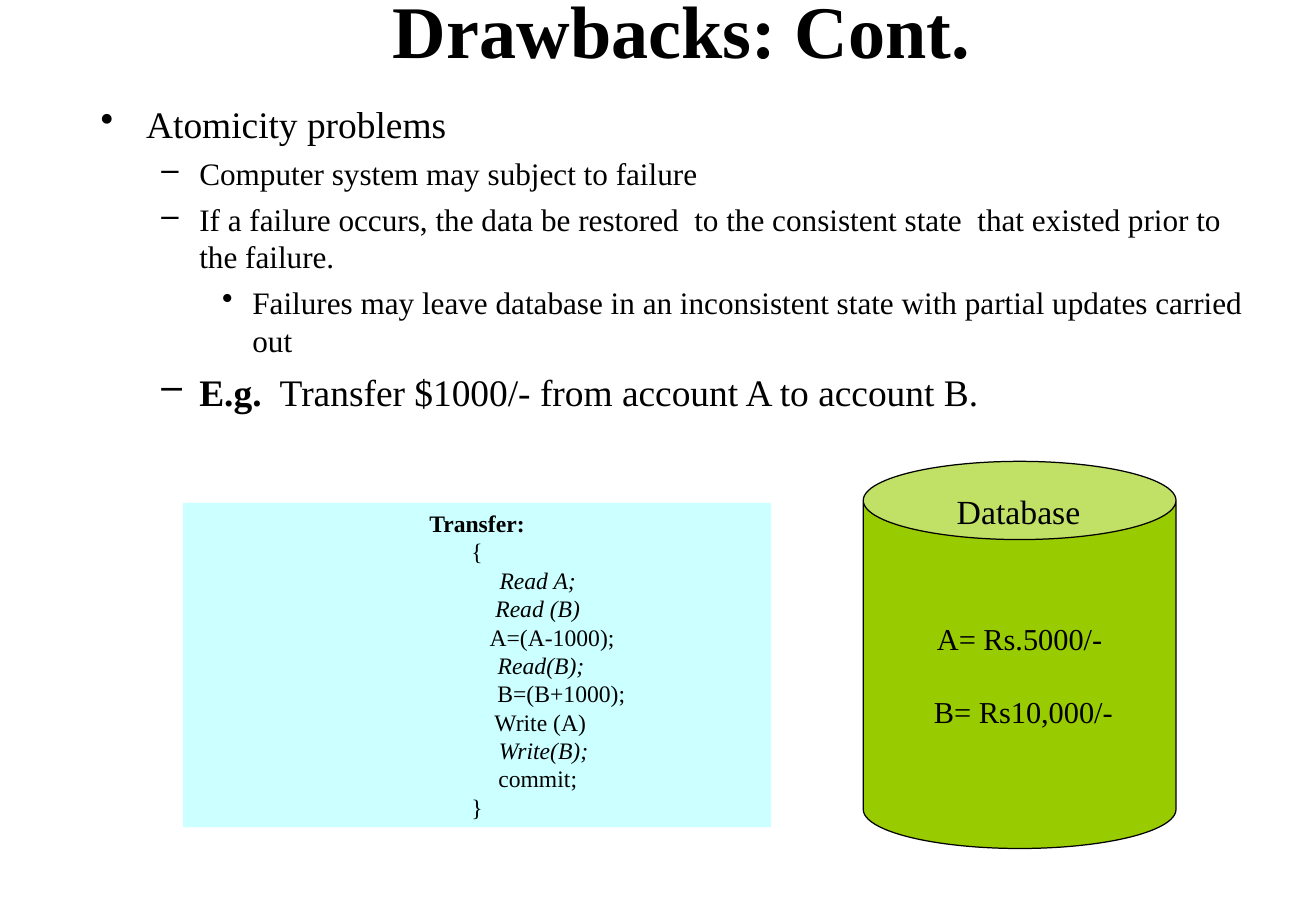
import pptx
import pptx.util
import pptx.dml.color
import pptx.enum.shapes
import pptx.enum.text
import pptx.oxml
import pptx.oxml.ns
from dataclasses import dataclass

Pt = pptx.util.Pt
RGB = pptx.dml.color.RGBColor.from_string
Shape = pptx.enum.shapes.MSO_SHAPE
Align = pptx.enum.text.PP_ALIGN
Anchor = pptx.enum.text.MSO_ANCHOR


@dataclass
class Theme:
    font: str = "Times New Roman"
    ink: str = "000000"
    code: str = "CCFFFF"
    store: str = "99CC00"
    title: float = 44
    lead: float = 22.2
    point: float = 18.5
    label: float = 20
    value: float = 18
    small: float = 14


# Left margin, hanging indent and bullet for each outline level
LEVELS = [(27, 27, "•"), (58.5, 22.5, "–"), (90, 18, "•")]


class Page:
    def __init__(self, slide, theme):
        self.slide = slide
        self.theme = theme

    def frame(self, shape, anchor=Anchor.MIDDLE, wrap=True):
        frame = shape.text_frame
        frame.word_wrap = wrap
        frame.vertical_anchor = anchor
        frame.margin_left = frame.margin_right = Pt(7.2)
        frame.margin_top = frame.margin_bottom = Pt(3.6)
        return frame

    def box(self, left, top, width, height, **style):
        shape = self.slide.shapes.add_textbox(Pt(left), Pt(top), Pt(width), Pt(height))
        return self.frame(shape, **style)

    def block(self, kind, left, top, width, height, fill, line=None):
        shape = self.slide.shapes.add_shape(kind, Pt(left), Pt(top), Pt(width), Pt(height))
        shape.shadow.inherit = False
        shape.fill.solid()
        shape.fill.fore_color.rgb = RGB(fill)
        if line:
            shape.line.color.rgb = RGB(line)
            shape.line.width = Pt(0.75)
        else:
            shape.line.fill.background()
        return shape

    def para(self, frame, runs, size, gap=0, shift=0, align=Align.CENTER):
        """Add one paragraph; runs are (text, style) pairs, style holding b or i."""
        first = not frame.paragraphs[0].runs
        para = frame.paragraphs[0] if first else frame.add_paragraph()
        para.alignment = align
        para.space_before = Pt(0 if first else gap)
        if shift:
            para._p.get_or_add_pPr().set("marL", str(Pt(shift)))
        for text, style in runs:
            run = para.add_run()
            run.text = text
            run.font.name = self.theme.font
            run.font.size = Pt(size)
            run.font.bold = "b" in style
            run.font.italic = "i" in style
            run.font.color.rgb = RGB(self.theme.ink)
        return para

    def item(self, frame, level, runs, size, gap):
        left, hang, mark = LEVELS[level]
        para = self.para(frame, runs, size, gap, left, Align.LEFT)
        para.level = level
        props = para._p.get_or_add_pPr()
        props.set("indent", str(-Pt(hang)))
        bullet = pptx.oxml.parse_xml(
            f'<a:buChar {pptx.oxml.ns.nsdecls("a")} char="{mark}"/>')
        props.append(bullet)


def main():
    deck = pptx.Presentation()
    deck.slide_width, deck.slide_height = Pt(780.48), Pt(540)
    theme = Theme()
    page = Page(deck.slides.add_slide(deck.slide_layouts[6]), theme)

    title = page.box(59.8, 0, 689, 34.6)
    page.para(title, [("Drawbacks: Cont.", "b")], theme.title)

    points = [
        (0, [("Atomicity problems", "")], theme.lead, 0),
        (1, [("Computer system may subject to failure", "")], theme.point, 5),
        (1, [("If a failure occurs, the data be restored  to the consistent state"
              "  that existed prior to the failure.", "")], theme.point, 5),
        (2, [("Failures may leave database in an inconsistent state with"
              " partial updates carried out", "")], theme.point, 5),
        (1, [("E.g.", "b"), ("  Transfer $1000/- from account A to account B.", "")],
         theme.lead, 6),
    ]
    body = page.box(52.6, 56.2, 694.8, 203, anchor=Anchor.TOP)
    for point in points:
        page.item(body, *point)

    steps = [
        ("Transfer:", "b", 0),
        ("{", "", 0),
        ("Read A;", "i", 72),
        ("Read (B)", "i", 72),
        ("A=(A-1000);", "", 89),
        ("Read(B);", "i", 76),
        ("B=(B+1000);", "", 100),
        ("Write (A)", "", 75),
        ("Write(B);", "i", 79),
        ("commit;", "", 72),
        ("}", "", 0),
    ]
    panel = page.block(Shape.RECTANGLE, 108.7, 298.1, 348.5, 192.2, theme.code)
    code = page.frame(panel)
    for text, style, shift in steps:
        page.para(code, [(text, style)], theme.small, shift=shift)

    can = page.block(Shape.CAN, 512, 273.5, 185.5, 229.5, theme.store, theme.ink)
    can.adjustments[0] = 0.25
    funds = page.frame(can)
    page.para(funds, [("A= Rs.5000/-", "")], theme.value)
    page.para(funds, [("B= Rs10,000/-", "")], theme.value, gap=21.65, shift=4.5)

    label = page.box(560.2, 287.3, 87.8, 31.7, wrap=False)
    page.para(label, [("Database", "")], theme.label)

    deck.save("out.pptx")


if __name__ == "__main__":
    main()
